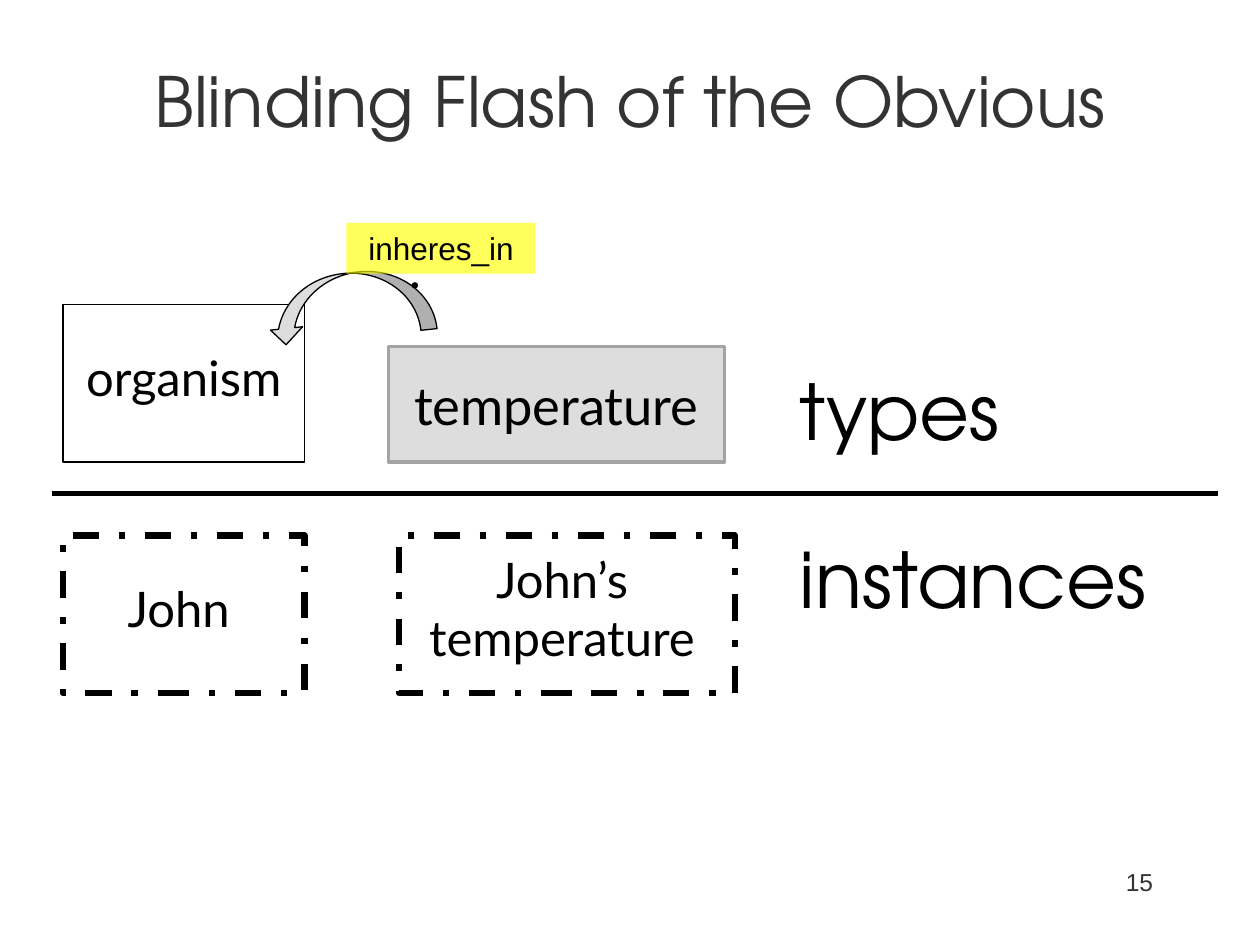
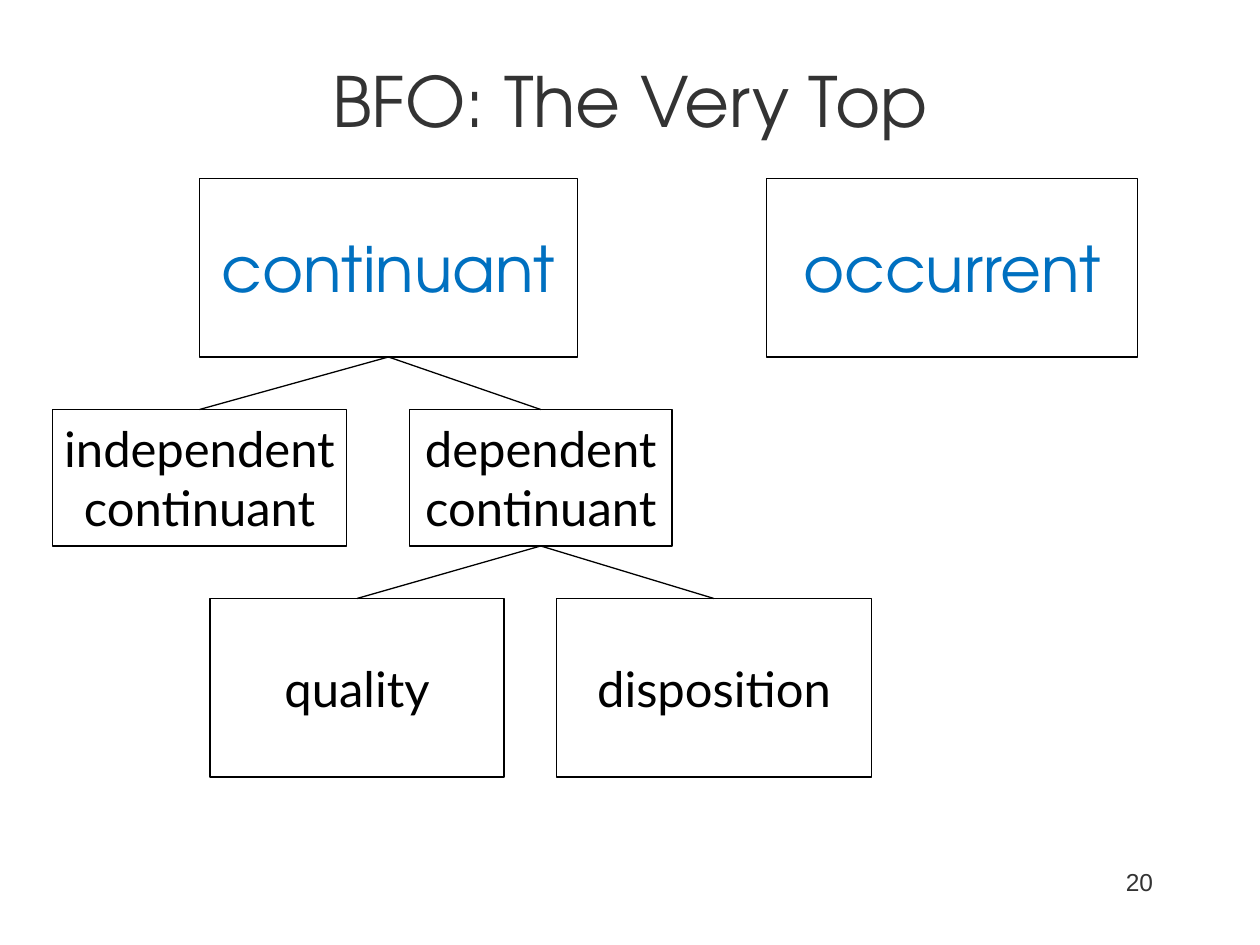
from dataclasses import dataclass

from lxml import etree
from pptx import Presentation
from pptx.dml.color import RGBColor as Rgb
from pptx.enum.dml import MSO_LINE as Dash
from pptx.enum.shapes import MSO_CONNECTOR as Link, MSO_SHAPE as Kind
from pptx.enum.text import MSO_ANCHOR as Anchor, PP_ALIGN as Align
from pptx.oxml.ns import qn
from pptx.util import Pt


@dataclass(frozen=True)
class Style:
    font: str
    size: float
    color: str = "000000"
    bold: bool = False


class Theme:
    ink = "000000"
    grey = "DDDDDD"
    edge = "A3A3A3"
    flash = "FFFF00"
    thin, thick = 0.75, 3.75
    title = Style("TeX Gyre Adventor", 39.6, "333333")
    number = Style("Arial", 14, "333333")
    level = Style("TeX Gyre Adventor", 44)
    head = Style("TeX Gyre Adventor", 36, "0070C0")
    node = Style("Lato", 28)
    large = Style("Lato", 30)
    dot = Style("Lato", 24, bold=True)
    label = Style("Arial", 18)


def inside(box, x, y, wide, high):
    """Turn a place relative to box into a place on the slide."""
    return box[0] + x, box[1] + y, wide, high


def write(shape, text, style, align=Align.CENTER, anchor=Anchor.MIDDLE, wrap=True):
    frame = shape.text_frame
    frame.text = text
    frame.word_wrap = wrap
    frame.vertical_anchor = anchor
    for para in frame.paragraphs:
        para.alignment = align
        for run in para.runs:
            font = run.font
            font.name, font.size, font.bold = style.font, Pt(style.size), style.bold
            font.color.rgb = Rgb.from_string(style.color)


def add_text(slide, box, text, style, align=Align.LEFT, anchor=Anchor.TOP):
    shape = slide.shapes.add_textbox(*map(Pt, box))
    write(shape, text, style, align, anchor)


def add_form(slide, box, kind=Kind.RECTANGLE, fill=None, line=Theme.ink, width=Theme.thin):
    shape = slide.shapes.add_shape(kind, *map(Pt, box))
    shape.shadow.inherit = False
    if fill:
        shape.fill.solid()
        shape.fill.fore_color.rgb = Rgb.from_string(fill)
    else:
        shape.fill.background()
    if line:
        shape.line.color.rgb = Rgb.from_string(line)
        shape.line.width = Pt(width)
    else:
        shape.line.fill.background()
    return shape


def add_node(slide, box, text, style=Theme.node, pad=(0, 0), **look):
    """Draw a captioned box; pad adds to its right and bottom insets."""
    shape = add_form(slide, box, **look)
    write(shape, text, style, wrap=False)
    frame = shape.text_frame
    frame.margin_right = Pt(7.2 + pad[0])
    frame.margin_bottom = Pt(3.6 + pad[1])
    return shape


def add_line(slide, start, end, width=Theme.thin):
    line = slide.shapes.add_connector(Link.STRAIGHT, *map(Pt, start + end))
    line.line.color.rgb = Rgb.from_string(Theme.ink)
    line.line.width = Pt(width)
    etree.SubElement(line._element.spPr, qn("a:effectLst"))
    return line


def add_branch(slide, parent, children):
    """Join the bottom of the parent to the top of each child."""
    for child in children:
        line = add_line(slide, (0, 0), (0, 0))
        line.begin_connect(parent, 2)
        line.end_connect(child, 0)


def add_frame(deck, title, number):
    """Start a slide with its title and page number."""
    slide = deck.slides.add_slide(deck.slide_layouts[6])
    add_text(slide, (0, 30, 720, 54), title, Theme.title, Align.CENTER, Anchor.MIDDLE)
    add_text(slide, (516, 492, 150, 36), number, Theme.number, Align.RIGHT)
    return slide


def add_types(slide, box):
    add_node(slide, inside(box, 192, 71, 192, 66), "temperature", Theme.large,
             fill=Theme.grey, line=Theme.edge, width=2)
    add_text(slide, inside(box, 420, 77, 162, 60), "types", Theme.level)
    add_node(slide, inside(box, 6, 47, 138, 90), "organism", pad=(0, 7.2))

    arrow = add_form(slide, inside(box, 122, 29, 96, 37), Kind.CURVED_UP_ARROW, Theme.grey)
    for place, value in enumerate((0.25, 0.5, 0.25)):
        arrow.adjustments[place] = value
    arrow.rotation = 173.9
    write(arrow, ".", Theme.dot, Align.LEFT, Anchor.TOP)

    label = add_form(slide, inside(box, 168, 0.4, 108, 29), fill=Theme.flash, line=None)
    tint = label._element.spPr.find(qn("a:solidFill"))[0]
    etree.SubElement(tint, qn("a:alpha"), val="64000")
    write(label, "inheres_in", Theme.label, anchor=Anchor.TOP)


def add_instances(slide, box):
    for x, wide, text in ((6, 138, "John"), (198, 192, "John’s\ntemperature")):
        node = add_node(slide, inside(box, x, 24, wide, 90), text,
                        pad=(5.6, 7.2), width=Theme.thick)
        node.line.dash_style = Dash.DASH_DOT
    add_text(slide, inside(box, 420, 18, 228, 60), "instances", Theme.level)


def add_tree(slide, box):
    def row(y, high, cells, style=Theme.node):
        return [add_node(slide, inside(box, x, y, wide, high), text, style)
                for x, wide, text in cells]

    tops = row(0, 102, ((84, 216, "continuant"), (408, 212, "occurrent")), Theme.head)
    mids = row(132, 78, ((0, 168, "independent\ncontinuant"),
                         (204, 150, "dependent\ncontinuant")))
    lows = row(240, 102, ((90, 168, "quality"), (288, 180, "disposition")))
    add_branch(slide, tops[0], mids)
    add_branch(slide, mids[1], lows)


def main():
    deck = Presentation()
    deck.slide_width, deck.slide_height = Pt(720), Pt(540)

    slide = add_frame(deck, "Blinding Flash of the Obvious", "15")
    add_line(slide, (30, 282), (696, 282), 3)
    add_types(slide, (30, 127, 666, 155))
    add_instances(slide, (30, 282, 666, 114))

    slide = add_frame(deck, "BFO: The Very Top", "20")
    add_tree(slide, (30, 102, 620, 342))

    deck.save("out.pptx")


if __name__ == "__main__":
    main()
